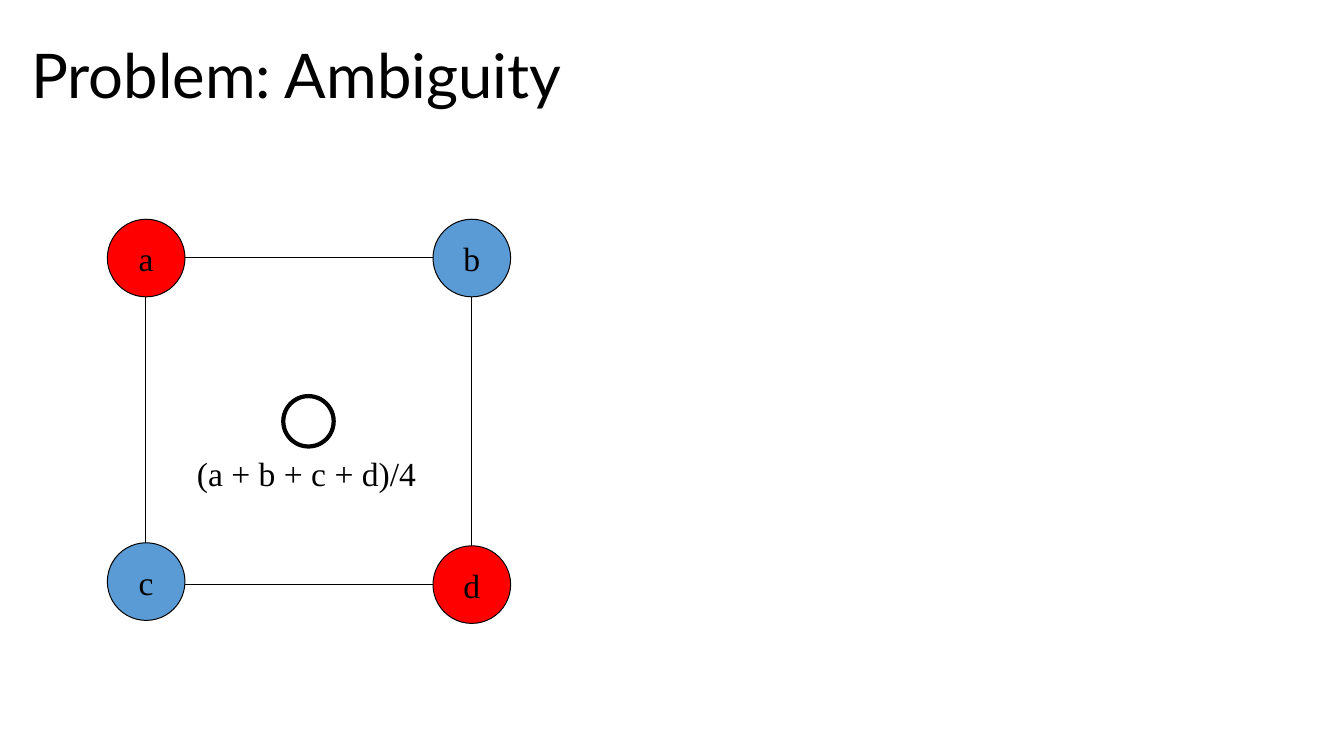
from dataclasses import dataclass

from pptx import Presentation
from pptx.dml.color import RGBColor
from pptx.enum.shapes import MSO_SHAPE
from pptx.enum.text import MSO_ANCHOR, PP_ALIGN
from pptx.util import Pt

EMU_PER_PX = 9144  # 100 px to the inch


@dataclass(frozen=True)
class Theme:
    ink: RGBColor = RGBColor(0, 0, 0)
    red: RGBColor = RGBColor(0xFF, 0, 0)
    blue: RGBColor = RGBColor(0x5B, 0x9B, 0xD5)
    title_font: str = "Lato"
    label_font: str = "Times New Roman"
    title_size: int = 44
    label_size: int = 24
    thin: float = 0.72
    thick: float = 3


THEME = Theme()


def px(*lengths):
    return [round(length * EMU_PER_PX) for length in lengths]


def write(frame, text, font, size, align):
    frame.margin_left = frame.margin_right = 0
    frame.margin_top = frame.margin_bottom = 0
    frame.vertical_anchor = MSO_ANCHOR.MIDDLE
    frame.word_wrap = False
    paragraph = frame.paragraphs[0]
    paragraph.text = text
    paragraph.alignment = align
    paragraph.font.name = font
    paragraph.font.size = Pt(size)
    paragraph.font.color.rgb = THEME.ink


def add_outlined(slide, kind, box, fill=None, width=THEME.thin):
    shape = slide.shapes.add_shape(kind, *px(*box))
    shape.shadow.inherit = False
    if fill is None:
        shape.fill.background()
    else:
        shape.fill.solid()
        shape.fill.fore_color.rgb = fill
    shape.line.color.rgb = THEME.ink
    shape.line.width = Pt(width)
    return shape


def add_circle(slide, x, y, diameter, fill=None, width=THEME.thin):
    box = (x - diameter / 2, y - diameter / 2, diameter, diameter)
    return add_outlined(slide, MSO_SHAPE.OVAL, box, fill, width)


def add_title(slide, box):
    title = slide.shapes.add_textbox(*px(*box))
    write(title.text_frame, "Problem: Ambiguity",
          THEME.title_font, THEME.title_size, PP_ALIGN.LEFT)


def add_cell(slide, box):
    left, top, width, height = box
    right, bottom = left + width, top + height
    add_outlined(slide, MSO_SHAPE.RECTANGLE, box)

    # Corner values; c sits slightly above the bottom edge
    corners = [
        ("b", right, top, THEME.blue),
        ("d", right, bottom, THEME.red),
        ("c", left + 1, bottom - 3, THEME.blue),
        ("a", left + 1, top, THEME.red),
    ]
    for name, x, y, color in corners:
        corner = add_circle(slide, x, y, 77, color)
        write(corner.text_frame, name,
              THEME.label_font, THEME.label_size, PP_ALIGN.CENTER)

    # Average at the cell centre
    center_x, center_y = left + width / 2, top + height / 2
    average = slide.shapes.add_textbox(*px(center_x - 112, center_y + 28, 220, 46))
    write(average.text_frame, "(a + b + c + d)/4",
          THEME.label_font, THEME.label_size, PP_ALIGN.CENTER)
    add_circle(slide, center_x, center_y, 50, width=THEME.thick)


def main():
    deck = Presentation()
    deck.slide_width, deck.slide_height = px(1333, 750)
    slide = deck.slides.add_slide(deck.slide_layouts[6])
    add_title(slide, (31, 35, 533, 76))
    add_cell(slide, (144, 256, 324, 324))
    deck.save("out.pptx")


if __name__ == "__main__":
    main()
